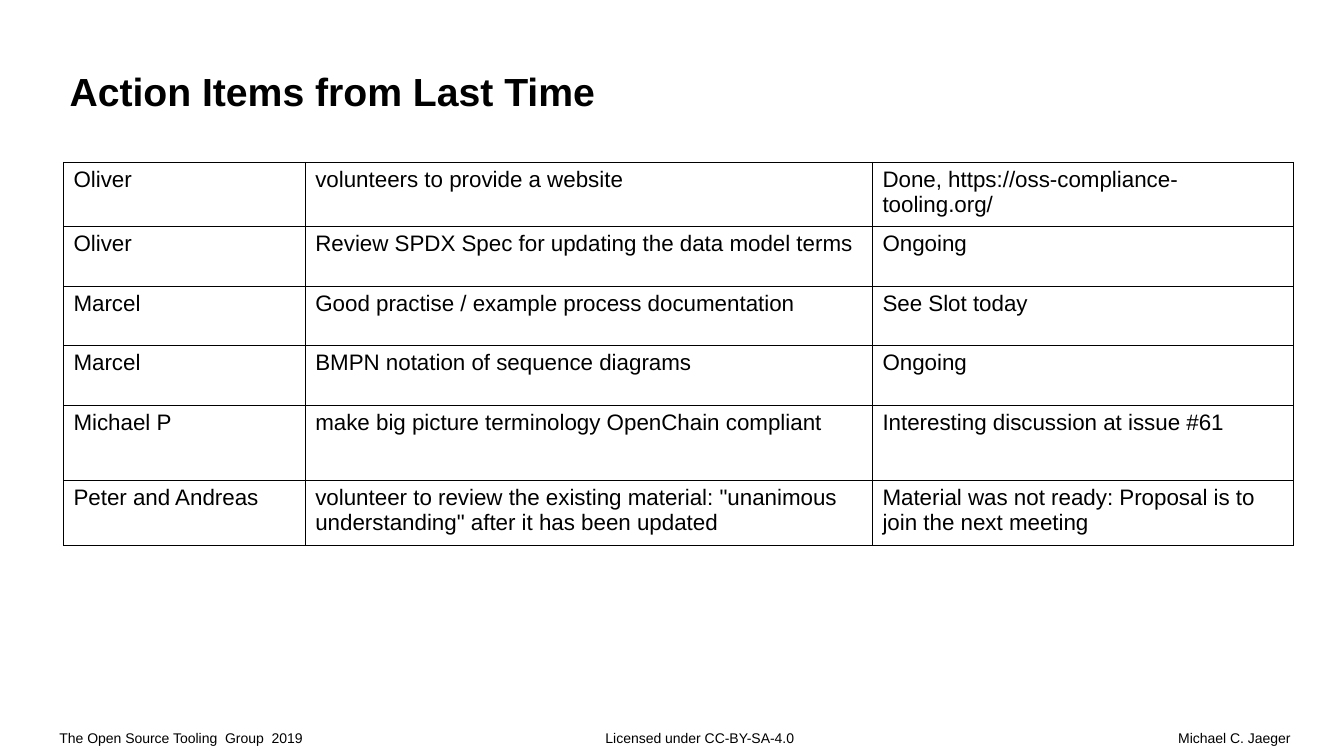
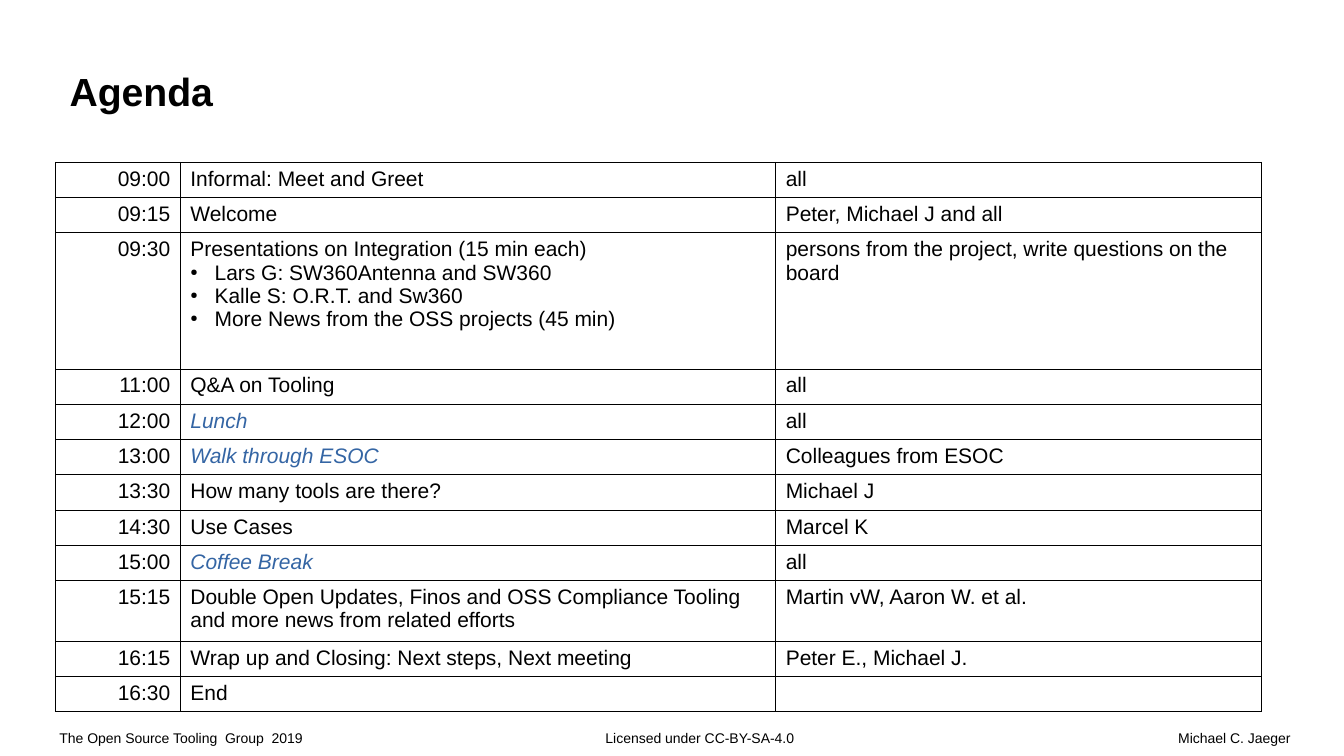
from lxml.etree import SubElement
from pptx import Presentation
from pptx.dml.color import RGBColor
from pptx.enum.text import MSO_ANCHOR, MSO_AUTO_SIZE, PP_ALIGN
from pptx.oxml import parse_xml
from pptx.oxml.ns import nsdecls, qn
from pptx.util import Inches, Pt

WIDE, HIGH = 13.34, 7.5
FONT, BLACK, WHITE, BLUE = "Arial", "000000", "FFFFFF", "3465A4"
LEFT, RIGHT = PP_ALIGN.LEFT, PP_ALIGN.RIGHT
TOP = 1.61
BREAKS = {"Lunch", "Walk through ESOC", "Coffee Break"}

FOOT = [
    ("The Open Source Tooling  Group  2019", 0.31, 3.4, (0.28, 0, 0, 0.13), LEFT),
    ("Licensed under CC-BY-SA-4.0", 5.32, 3, (0.69, 0, 0, 0.13), LEFT),
    ("Michael C. Jaeger", 4.14, 9.2, (0, 0, 0.53, 0.13), RIGHT),
]

ITEMS = [
    ("Oliver", "volunteers to provide a website",
     "Done, https://oss-compliance-tooling.org/"),
    ("Oliver", "Review SPDX Spec for updating the data model terms", "Ongoing"),
    ("Marcel", "Good practise / example process documentation", "See Slot today"),
    ("Marcel", "BMPN notation of sequence diagrams", "Ongoing"),
    ("Michael P", "make big picture terminology OpenChain compliant",
     "Interesting discussion at issue #61"),
    ("Peter and Andreas",
     'volunteer to review the existing material: "unanimous understanding" '
     "after it has been updated",
     "Material was not ready: Proposal is to join the next meeting"),
]

AGENDA = [
    ("09:00", "Informal: Meet and Greet", "all"),
    ("09:15", "Welcome", "Peter, Michael J and all"),
    ("09:30", ["Presentations on Integration (15 min each)",
               "Lars G: SW360Antenna and SW360",
               "Kalle S: O.R.T. and Sw360",
               "More News from the OSS projects (45 min)"],
     "persons from the project, write questions on the board"),
    ("11:00", "Q&A on Tooling", "all"),
    ("12:00", "Lunch", "all"),
    ("13:00", "Walk through ESOC", "Colleagues from ESOC"),
    ("13:30", "How many tools are there?", "Michael J"),
    ("14:30", "Use Cases", "Marcel K"),
    ("15:00", "Coffee Break", "all"),
    ("15:15", "Double Open Updates, Finos and OSS Compliance Tooling "
     "and more news from related efforts", "Martin vW, Aaron W. et al."),
    ("16:15", "Wrap up and Closing: Next steps, Next meeting",
     "Peter E., Michael J."),
    ("16:30", "End", ""),
]

SLIDES = [
    dict(title="Action Items from Last Time", rows=ITEMS, left=0.63, size=16,
         cols=[2.4, 5.63, 4.18], base=0.59, tall={0: 0.64, 4: 0.75, 5: 0.64},
         first=LEFT),
    dict(title="Agenda", rows=AGENDA, left=0.55, size=15,
         cols=[1.24, 5.91, 4.82], base=0.35, tall={2: 1.35, 9: 0.6},
         first=RIGHT),
]


def color(code):
    return RGBColor.from_string(code)


def style(para, size, code=BLACK, align=LEFT, bold=False, italic=False):
    para.alignment = align
    font = para.font
    font.name, font.size = FONT, Pt(size)
    font.bold, font.italic = bold, italic
    font.color.rgb = color(code)


def inset(frame, sides):
    frame.word_wrap = True
    frame.auto_size = MSO_AUTO_SIZE.NONE
    (frame.margin_left, frame.margin_top,
     frame.margin_right, frame.margin_bottom) = map(Inches, sides)


def bullet(para):
    props = para._p.get_or_add_pPr()
    props.set("marL", str(Inches(0.24)))
    props.set("indent", str(-Inches(0.24)))
    tint = SubElement(props, qn("a:buClr"))
    SubElement(tint, qn("a:srgbClr"), val=BLACK)
    SubElement(props, qn("a:buSzPct"), val="45000")
    SubElement(props, qn("a:buChar"), char="●")


def border(cell):
    props = cell._tc.get_or_add_tcPr()
    for side in "LRTB":
        props.append(parse_xml(
            f'<a:ln{side} {nsdecls("a")} w="{Pt(0.57)}"><a:solidFill>'
            f'<a:srgbClr val="{BLACK}"/></a:solidFill></a:ln{side}>'))


def fill_cell(cell, text, size, align):
    border(cell)
    cell.fill.background()
    lines = text if isinstance(text, list) else [text]
    frame = cell.text_frame
    frame.text = "\n".join(lines)
    for num, para in enumerate(frame.paragraphs):
        if num:
            bullet(para)
        rest = lines[num] in BREAKS
        style(para, size, BLUE if rest else BLACK, align, italic=rest)
        if not lines[num]:
            SubElement(para._p, qn("a:endParaRPr"), sz=str(size * 100))


def add_title(slide, text):
    title = slide.shapes.title
    title.left = title.top = 0
    title.width, title.height = Inches(WIDE), Inches(1.39)
    frame = title.text_frame
    inset(frame, (0.69, 0.43, 2.32, 0.26))
    frame.vertical_anchor = MSO_ANCHOR.BOTTOM
    frame.text = text
    style(frame.paragraphs[0], 28, bold=True)


def add_foot(slide):
    for text, left, width, sides, align in FOOT:
        box = slide.shapes.add_textbox(
            Inches(left), Inches(HIGH - 0.28), Inches(width), Inches(0.28))
        inset(box.text_frame, sides)
        box.text_frame.text = text
        para = box.text_frame.paragraphs[0]
        para.line_spacing = 1.1
        style(para, 10, align=align)


def add_grid(slide, data):
    rows, cols = data["rows"], data["cols"]
    highs = [data["tall"].get(r, data["base"]) for r in range(len(rows))]
    table = slide.shapes.add_table(
        len(rows), len(cols), Inches(data["left"]), Inches(TOP),
        Inches(sum(cols)), Inches(sum(highs))).table
    table.first_row = table.horz_banding = False
    for col, width in zip(table.columns, cols):
        col.width = Inches(width)
    for row, high, texts in zip(table.rows, highs, rows):
        row.height = Inches(high)
        for num, (cell, text) in enumerate(zip(row.cells, texts)):
            fill_cell(cell, text, data["size"], LEFT if num else data["first"])


def main():
    deck = Presentation()
    deck.slide_width, deck.slide_height = Inches(WIDE), Inches(HIGH)
    back = deck.slide_master.background.fill
    back.solid()
    back.fore_color.rgb = color(WHITE)
    for data in SLIDES:
        slide = deck.slides.add_slide(deck.slide_layouts[5])
        add_foot(slide)
        add_title(slide, data["title"])
        add_grid(slide, data)
    deck.save("out.pptx")


if __name__ == "__main__":
    main()
